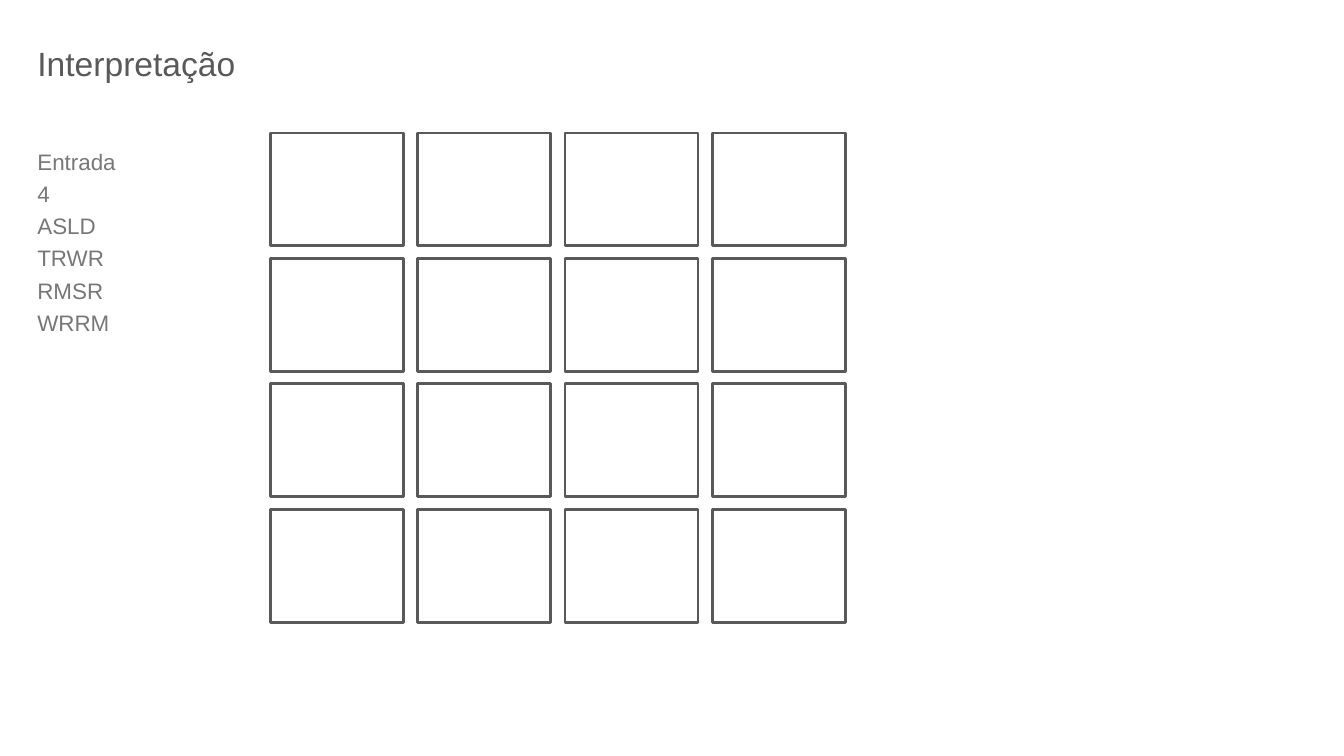
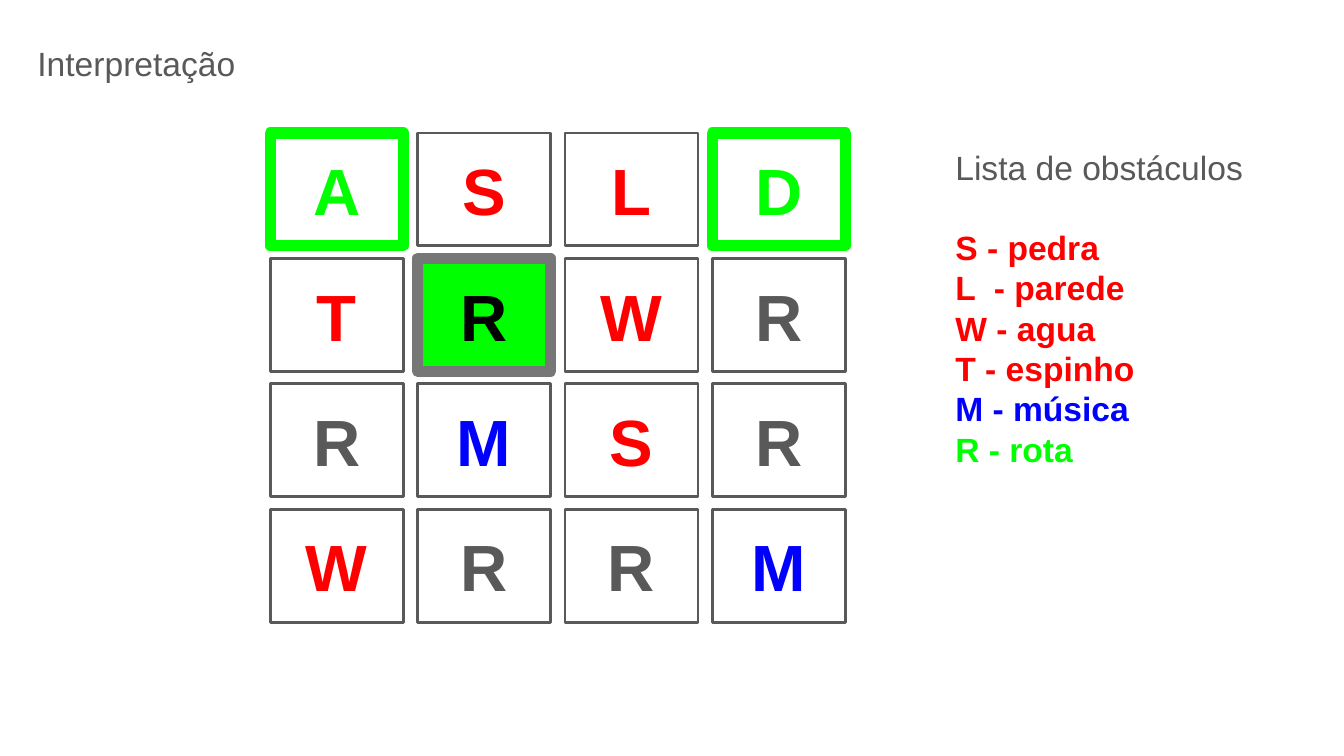
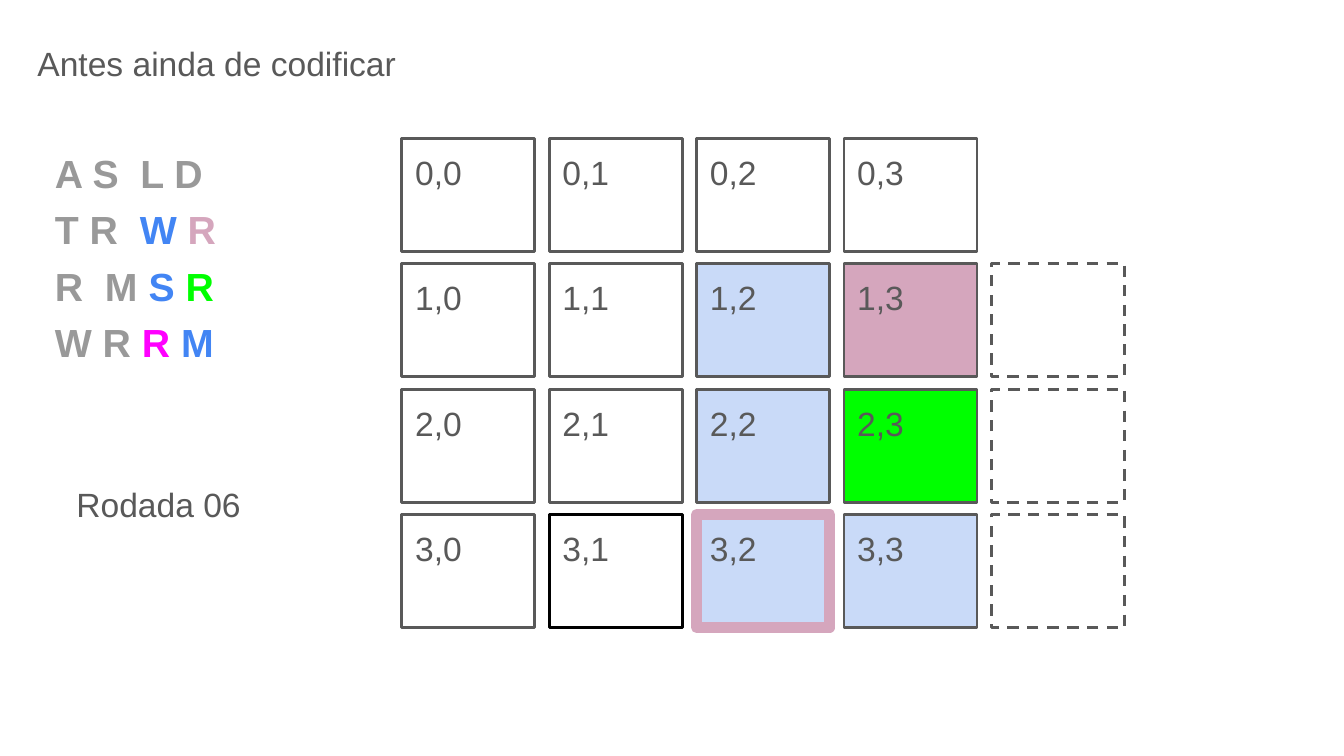
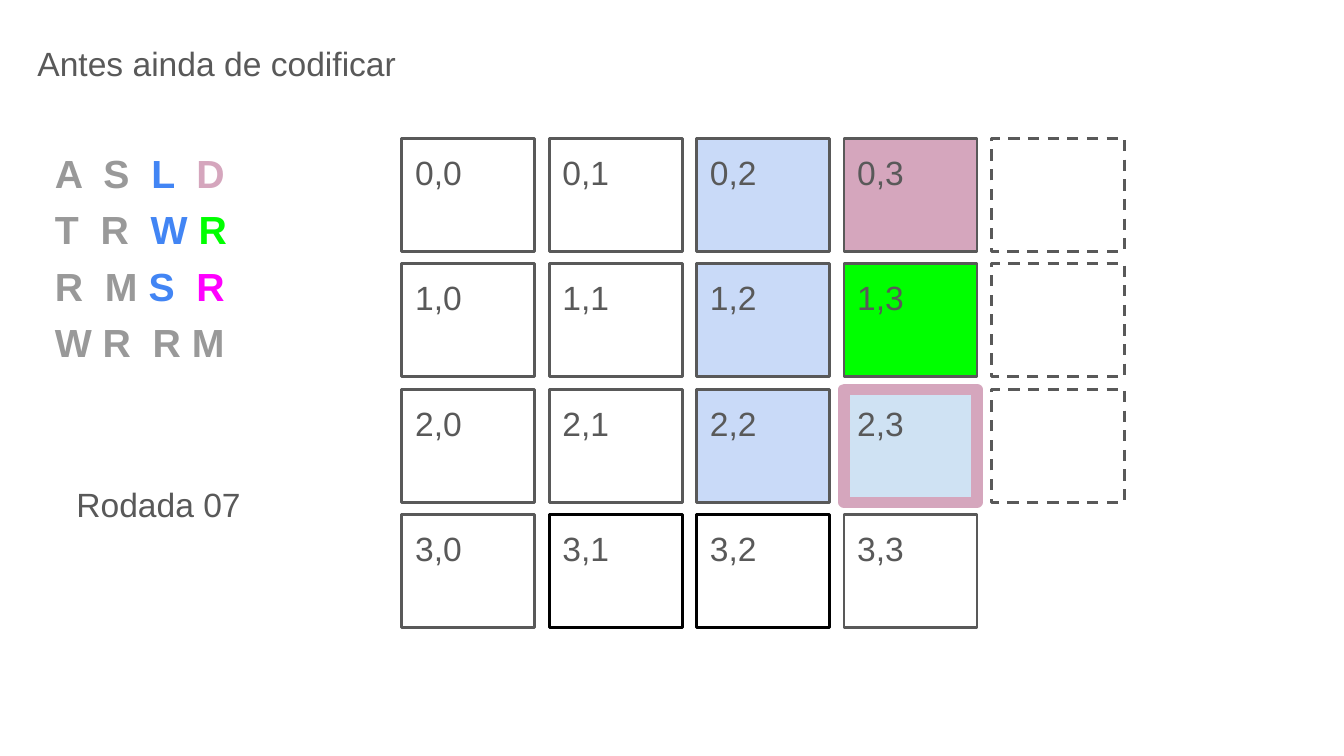
from dataclasses import dataclass
from typing import Optional

from pptx import Presentation
from pptx import util as u
from pptx.dml.color import RGBColor
from pptx.enum import dml, shapes, text


@dataclass(frozen=True)
class Theme:
    font: str = "Arial"
    ink: str = "595959"
    soft: str = "777777"
    faded: str = "999999"
    black: str = "000000"
    red: str = "FF0000"
    blue: str = "0000FF"
    green: str = "00FF00"
    sky: str = "4285F4"
    pink: str = "D5A6BD"
    magenta: str = "FF00FF"
    pale: str = "C9DAF8"
    ice: str = "CFE2F3"
    small: int = 12
    body: int = 18
    code: int = 21
    letter: int = 35
    thin: float = 1.5
    thick: float = 6
    loose: float = 1.2


THEME = Theme()


@dataclass(frozen=True)
class Box:
    """A region in grid units: the slide is 100 columns by 56.25 rows."""
    left: float
    top: float
    width: float
    height: float

    def emu(self):
        return [u.Inches(value / 10) for value in (self.left, self.top, self.width, self.height)]


@dataclass(frozen=True)
class Look:
    """How a board cell is drawn; ink replaces the letter's own colour."""
    fill: Optional[str] = None
    line: str = THEME.ink
    weight: float = THEME.thin
    dashed: bool = False
    ink: Optional[str] = None


LOOKS = {
    ".": Look(),
    "e": Look(line=THEME.green, weight=THEME.thick),
    "r": Look(THEME.green, THEME.soft, THEME.thick, ink=THEME.black),
    "b": Look(line=THEME.black),
    "v": Look(THEME.pale),
    "p": Look(THEME.pink),
    "g": Look(THEME.green),
    "f": Look(THEME.pale, THEME.pink, THEME.thick),
    "i": Look(THEME.ice, THEME.pink, THEME.thick),
    "d": Look(dashed=True),
}

PLAIN = ["...."] * 4
CELL_WIDTH, CELL_HEIGHT = 9.9, 8.4
BOARD_COLUMNS = BOARD_ROWS = 4
READING_BOARD = Box(20.1, 9.9, 42.8, 36.4)
ROUND_BOARD = Box(29.9, 10.3, 42.8, 36.4)

LETTERS = ["ASLD", "TRWR", "RMSR", "WRRM"]
LETTER_INK = {**dict.fromkeys("SLWT", THEME.red), **dict.fromkeys("AD", THEME.green),
              "M": THEME.blue, "R": THEME.ink}
OBSTACLES = [("S - pedra", THEME.red), ("L  - parede", THEME.red), ("W - agua", THEME.red),
             ("T - espinho", THEME.red), ("M - música", THEME.blue), ("R - rota", THEME.green)]

ROUNDS = [
    ("Rodada 06", ["....", "..vpd", "..vgd", ".bfvd"], [
        [("A S  L D", THEME.faded)],
        [("T R  ", THEME.faded), ("W ", THEME.sky), ("R", THEME.pink)],
        [("R  M ", THEME.faded), ("S ", THEME.sky), ("R", THEME.green)],
        [("W R ", THEME.faded), ("R", THEME.magenta), (" M", THEME.sky)],
    ]),
    ("Rodada 07", ["..vpd", "..vgd", "..vid", ".bb."], [
        [("A  S  ", THEME.faded), ("L  ", THEME.sky), ("D", THEME.pink)],
        [("T  R  ", THEME.faded), ("W ", THEME.sky), ("R", THEME.green)],
        [("R  M ", THEME.faded), ("S  ", THEME.sky), ("R", THEME.magenta)],
        [("W R  R M", THEME.faded)],
    ]),
]


def prepare_frame(shape, anchor=text.MSO_ANCHOR.TOP):
    frame = shape.text_frame
    frame.word_wrap = True
    frame.vertical_anchor = anchor
    frame.margin_left = frame.margin_right = frame.margin_top = frame.margin_bottom = u.Inches(0.1)
    return frame


def write_lines(para, lines, size, bold=False):
    """Fill one paragraph; each line is a list of (words, colour) spans."""
    for number, line in enumerate(lines):
        if number:
            para.add_line_break()
        for words, colour in line:
            span = para.add_run()
            span.text = words
            span.font.name = THEME.font
            span.font.size = u.Pt(size)
            span.font.bold = bold
            span.font.color.rgb = RGBColor.from_string(colour)


def add_text(page, box, lines, size=THEME.body, bold=False, spacing=None):
    frame = prepare_frame(page.shapes.add_textbox(*box.emu()))
    para = frame.paragraphs[0]
    para.line_spacing = spacing
    write_lines(para, lines, size, bold)
    return frame


def add_cell(page, box, look):
    cell = page.shapes.add_shape(shapes.MSO_SHAPE.RECTANGLE, *box.emu())
    cell.shadow.inherit = False
    if look.fill:
        cell.fill.solid()
        cell.fill.fore_color.rgb = RGBColor.from_string(look.fill)
    else:
        cell.fill.background()
    cell.line.color.rgb = RGBColor.from_string(look.line)
    cell.line.width = u.Pt(look.weight)
    if look.dashed:
        cell.line.dash_style = dml.MSO_LINE.DASH
    return cell


def add_board(page, box, looks):
    """Spread cells evenly over the box; a fifth column continues past it.

    Yields row, column, look and cell for labelling.
    """
    step_x = (box.width - CELL_WIDTH) / (BOARD_COLUMNS - 1)
    step_y = (box.height - CELL_HEIGHT) / (BOARD_ROWS - 1)
    for row, keys in enumerate(looks):
        for column, key in enumerate(keys):
            place = Box(box.left + column * step_x, box.top + row * step_y,
                        CELL_WIDTH, CELL_HEIGHT)
            yield row, column, LOOKS[key], add_cell(page, place, LOOKS[key])


def add_letter_board(page, box, looks):
    for row, column, look, cell in add_board(page, box, looks):
        letter = LETTERS[row][column]
        para = prepare_frame(cell, text.MSO_ANCHOR.MIDDLE).paragraphs[0]
        para.alignment = text.PP_ALIGN.CENTER
        write_lines(para, [[(letter, look.ink or LETTER_INK[letter])]], THEME.letter, bold=True)


def add_index_board(page, box, looks):
    for row, column, look, cell in add_board(page, box, looks):
        if not look.dashed:
            para = prepare_frame(cell).paragraphs[0]
            para.alignment = text.PP_ALIGN.LEFT
            write_lines(para, [[(f"{row},{column}", THEME.ink)]], THEME.body)


def add_obstacle_list(page, box):
    frame = add_text(page, box, [[("Lista de obstáculos", THEME.ink)]])
    frame.paragraphs[0].space_after = u.Pt(21.5)
    write_lines(frame.add_paragraph(), [[span] for span in OBSTACLES], THEME.body, bold=True)


def add_page(deck, title):
    page = deck.slides.add_slide(deck.slide_layouts[6])
    add_text(page, Box(1.8, 2.2, 40.8, 4.6), [[(title, THEME.ink)]])
    return page


def build_input_page(deck):
    page = add_page(deck, "Interpretação")
    for _ in add_board(page, READING_BOARD, PLAIN):
        pass
    lines = [[(words, THEME.soft)] for words in ["Entrada", "4", *LETTERS]]
    add_text(page, Box(1.8, 9.6, 9.3, 16.2), lines, THEME.small, spacing=THEME.loose)


def build_obstacle_page(deck):
    page = add_page(deck, "Interpretação")
    add_letter_board(page, READING_BOARD, ["e..e", ".r..", "....", "...."])
    add_obstacle_list(page, Box(70.1, 9.9, 28.1, 25.1))


def build_round_page(deck, name, looks, code_lines):
    page = add_page(deck, "Antes ainda de codificar")
    add_index_board(page, ROUND_BOARD, looks)
    add_text(page, Box(3.1, 9.4, 22.1, 18.3), code_lines, THEME.code, True, THEME.loose)
    add_text(page, Box(4.7, 35, 20.6, 3.7), [[(name, THEME.ink)]])


def main():
    deck = Presentation()
    deck.slide_width, deck.slide_height = u.Inches(10), u.Inches(5.625)
    build_input_page(deck)
    build_obstacle_page(deck)
    for name, looks, code_lines in ROUNDS:
        build_round_page(deck, name, looks, code_lines)
    deck.save("out.pptx")


if __name__ == "__main__":
    main()
